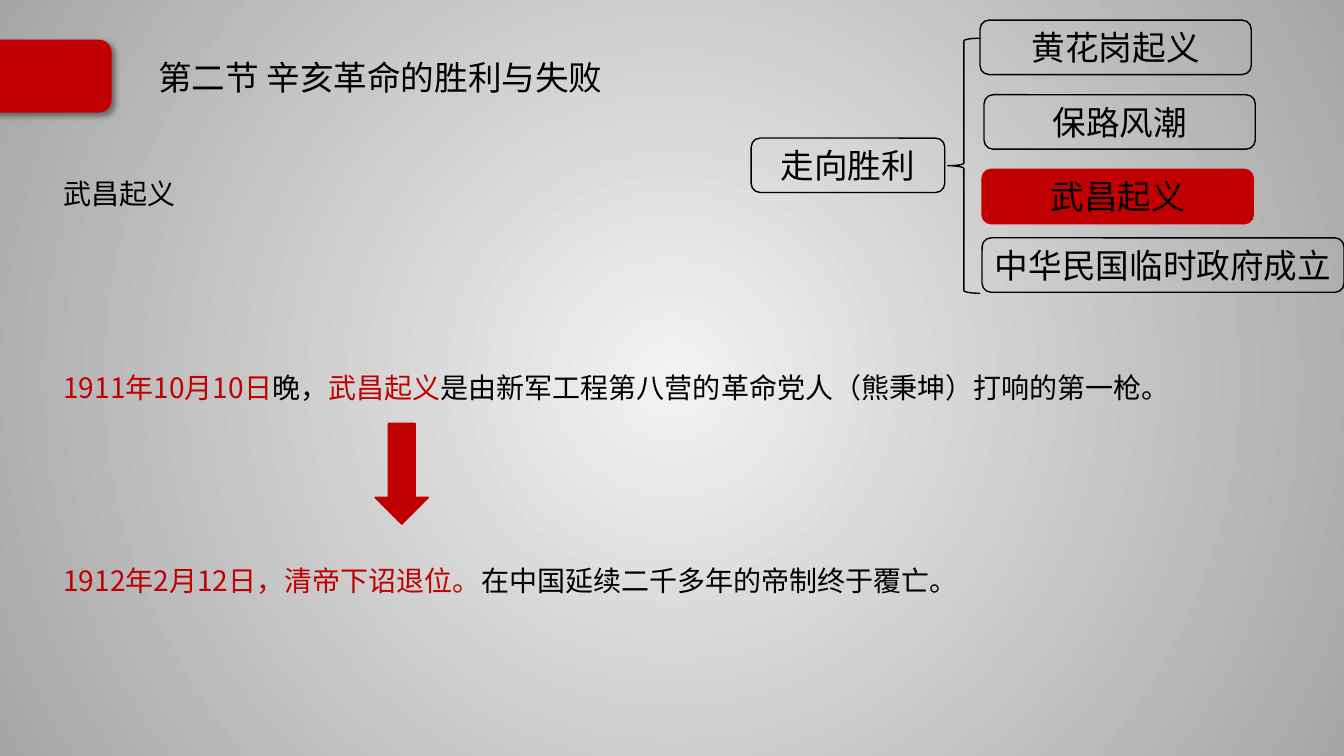
import pptx
import pptx.util
import pptx.dml.color
import pptx.enum.shapes
import pptx.enum.text
import pptx.oxml
import pptx.oxml.ns

Inches = pptx.util.Inches
RGBColor = pptx.dml.color.RGBColor
SHAPE = pptx.enum.shapes.MSO_SHAPE
ALIGN = pptx.enum.text.PP_ALIGN
qn = pptx.oxml.ns.qn

RED = RGBColor(0xC0, 0x00, 0x00)
BLACK = RGBColor(0x00, 0x00, 0x00)
LIGHT = RGBColor(0xF2, 0xF2, 0xF2)
GREY = RGBColor(0xA6, 0xA6, 0xA6)
SANS = "Noto Sans CJK SC"
HEAD = "Noto Sans CJK JP"

# Content
TITLE = [("第二节 辛亥革命的胜利与失败", BLACK)]
BODY = [
    [("武昌起义", BLACK)],
    [("1911年10月10日", RED), ("晚，", BLACK), ("武昌起义", RED),
     ("是由新军工程第八营的革命党人（熊秉坤）打响的第一枪。", BLACK)],
    [("1912年2月12日，清帝下诏退位。", RED),
     ("在中国延续二千多年的帝制终于覆亡。", BLACK)],
]
# Label, left, top, width, fill
BOXES = [
    ("走向胜利", 7.45, 1.37, 1.92, None),
    ("黄花岗起义", 9.72, 0.2, 2.69, None),
    ("保路风潮", 9.76, 0.94, 2.69, None),
    ("武昌起义", 9.74, 1.68, 2.69, RED),
    ("中华民国临时政府成立", 9.74, 2.36, 3.59, None),
]
BOX_H = 0.54
BODY_TOP, BODY_STEP, BODY_H = 1.62, 1.92, 0.6

SHADOW = (
    '<a:effectLst xmlns:a="http://schemas.openxmlformats.org/drawingml/2006/main">'
    '<a:outerShdw blurRad="50800" dist="38100" dir="2700000" algn="tl" rotWithShape="0">'
    '<a:srgbClr val="000000"><a:alpha val="40000"/></a:srgbClr>'
    '</a:outerShdw></a:effectLst>')

deck = pptx.Presentation()
deck.slide_width, deck.slide_height = Inches(13.33), Inches(7.5)
slide = deck.slides.add_slide(deck.slide_layouts[6])


def write(shape, runs, size, font, align=ALIGN.LEFT, space=1.0):
    frame = shape.text_frame
    frame.word_wrap = True
    frame.vertical_anchor = pptx.enum.text.MSO_ANCHOR.MIDDLE
    para = frame.paragraphs[0]
    para.alignment, para.line_spacing = align, space
    for text, color in runs:
        run = para.add_run()
        run.text = text
        run.font.size = pptx.util.Pt(size)
        run.font.color.rgb = color
        run.font.name = font
        # East Asian glyphs take their own font entry
        east = run._r.get_or_add_rPr().makeelement(qn("a:ea"), {"typeface": font})
        run.font._element.find(qn("a:latin")).addnext(east)


def draw(kind, left, top, width, height, fill=None, line=BLACK):
    shape = slide.shapes.add_shape(
        kind, Inches(left), Inches(top), Inches(width), Inches(height))
    shape.shadow.inherit = False
    if fill is None:
        shape.fill.background()
    else:
        shape.fill.solid()
        shape.fill.fore_color.rgb = fill
    shape.line.color.rgb = line
    shape.line.width = pptx.util.Pt(1)
    return shape


def label(runs, left, top, width, height, size, font, space=1.0):
    box = slide.shapes.add_textbox(
        Inches(left), Inches(top), Inches(width), Inches(height))
    write(box, runs, size, font, space=space)


# Background: light centre fading to grey
fill = slide.background.fill
fill.gradient()
for stop, color, place in zip(fill.gradient_stops, (LIGHT, GREY), (0, 1)):
    stop.color.rgb = color
    stop.position = place
grad = slide._element.find(".//" + qn("a:gradFill"))
grad.replace(grad.find(qn("a:lin")), pptx.oxml.parse_xml(
    '<a:path xmlns:a="http://schemas.openxmlformats.org/drawingml/2006/main" path="circle">'
    '<a:fillToRect l="50000" t="50000" r="50000" b="50000"/></a:path>'))

# Title with red tab
tab = draw(SHAPE.ROUNDED_RECTANGLE, -0.18, 0.4, 1.28, 0.71, RED, RED)
props = tab._element.spPr
props.replace(props.find(qn("a:effectLst")), pptx.oxml.parse_xml(SHADOW))
label(TITLE, 1.47, 0.49, 11.15, 0.59, 24, HEAD, 0.9)

# Body lines and the arrow between them
for row, runs in enumerate(BODY):
    label(runs, 0.53, BODY_TOP + row * BODY_STEP, 12.08, BODY_H, 20, SANS)
draw(SHAPE.DOWN_ARROW, 3.72, 4.2, 0.53, 1, RED, RED)

# Topic tree
draw(SHAPE.LEFT_BRACE, 9.4, 0.38, 0.32, 2.53)
for text, left, top, width, color in BOXES:
    box = draw(SHAPE.ROUNDED_RECTANGLE, left, top, width, BOX_H, color, color or BLACK)
    write(box, [(text, BLACK)], 24, SANS, ALIGN.CENTER)

deck.save("out.pptx")
